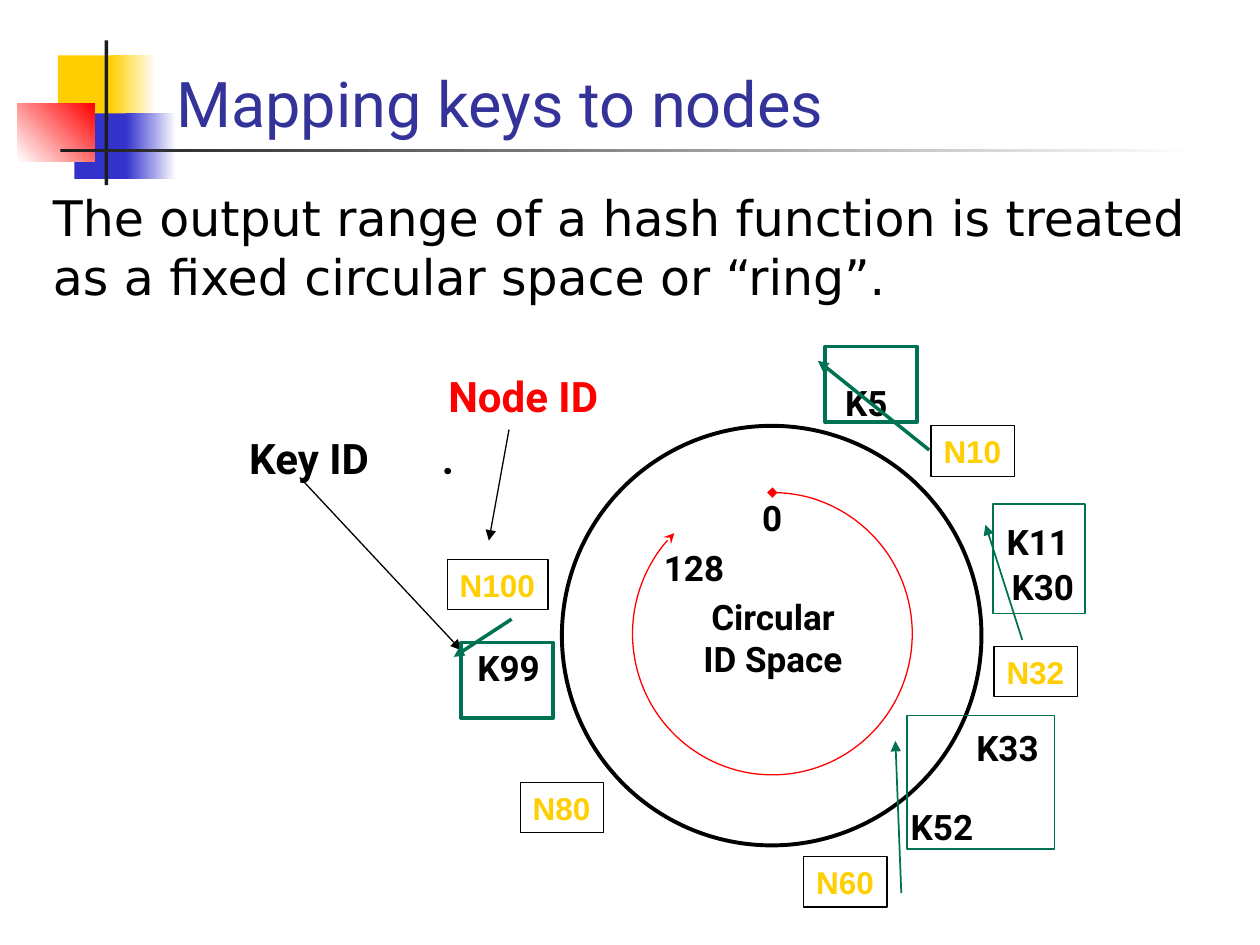
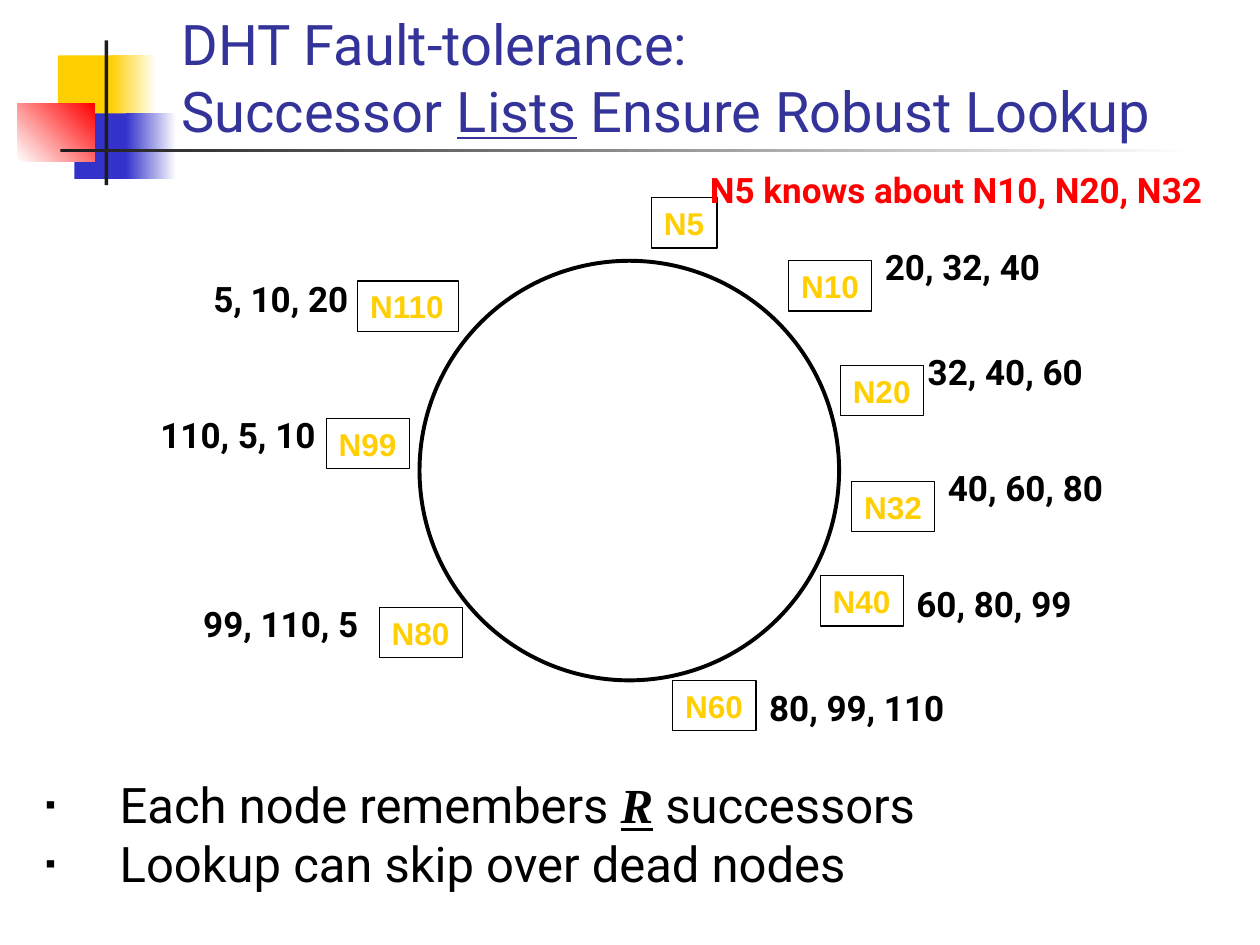
"""Build two slides on mapping keys to nodes in a ring and on successor lists."""
import pptx
import pptx.dml.color
import pptx.enum.shapes
import pptx.enum.text
import pptx.oxml.ns
import pptx.util
from lxml import etree

Inches = pptx.util.Inches
Pt = pptx.util.Pt
Preset = pptx.enum.shapes.MSO_SHAPE
Align = pptx.enum.text.PP_ALIGN
Anchor = pptx.enum.text.MSO_ANCHOR

COLORS = {
    "gold": "FFCF01", "blue": "3333CC", "red": "FF0000", "white": "FFFFFF",
    "charcoal": "1C1C1C", "title": "333399", "black": "000000", "green": "007254",
}


def color(name):
    """Return the named colour."""
    return pptx.dml.color.RGBColor.from_string(COLORS[name])


def add_element(parent, tag, **attributes):
    """Append a drawing element to a parent element."""
    return etree.SubElement(parent, pptx.oxml.ns.qn(tag), attributes)


class Deck:
    """Hold the shared style and the current slide."""

    def __init__(self):
        """Start an empty presentation."""
        self.presentation = pptx.Presentation()
        self.presentation.slide_width = Inches(10)
        self.presentation.slide_height = Inches(7.5)
        self.layout = self.presentation.slide_layouts[1]
        self.slide = None

    def new_slide(self):
        """Add a slide and make it current."""
        self.slide = self.presentation.slides.add_slide(self.layout)

    def format(self, font, size, name="Roboto", fill="black", bold=False):
        """Apply size, typeface, colour and weight to a font."""
        font.size = Pt(size)
        font.name = name
        font.bold = bold
        font.color.rgb = color(fill)

    def shape(self, preset, left, top, width, height, line=None, weight=0.75):
        """Add an unfilled preset shape with an optional outline."""
        shape = self.slide.shapes.add_shape(
            preset, Inches(left), Inches(top), Inches(width), Inches(height))
        shape.shadow.inherit = False
        shape.fill.background()
        if line:
            shape.line.color.rgb = color(line)
            shape.line.width = Pt(weight)
        else:
            shape.line.fill.background()
        return shape

    def arrowheads(self, shape, **ends):
        """Add arrowheads to the start (headEnd) or the end (tailEnd) of a line."""
        for tag in ("headEnd", "tailEnd"):
            if tag in ends:
                add_element(shape.line._get_or_add_ln(), f"a:{tag}", type=ends[tag])

    def band(self, left, top, width, height, start, end=None, angle=0):
        """Add a decoration to the shared layout, plain or shaded."""
        shape = self.shape(Preset.RECTANGLE, left, top, width, height)
        if end:
            shape.fill.gradient()
            shape.fill.gradient_angle = angle
            for stop, name in zip(shape.fill.gradient_stops, (start, end)):
                stop.color.rgb = color(name)
        else:
            shape.fill.solid()
            shape.fill.fore_color.rgb = color(start)
        self.layout.shapes.element.append(shape.element)

    def decorate(self):
        """Draw the squares and rules that every slide shows."""
        self.band(0.46, 0.44, 0.48, 0.52, "gold")
        self.band(0.88, 0.44, 0.36, 0.52, "gold", "white")
        self.band(0.59, 0.9, 0.46, 0.52, "blue")
        self.band(1, 0.9, 0.4, 0.52, "blue", "white")
        self.band(0.14, 0.82, 0.61, 0.46, "white", "red", 45)
        self.band(0.83, 0.32, 0.03, 1.15, "charcoal")
        self.band(0.48, 1.18, 9, 0.03, "charcoal", "white")

    def placeholder(self, index, left, top, width, height, anchor, paragraphs):
        """Place a placeholder and fill it with paragraphs made of run texts."""
        shape = self.slide.placeholders[index]
        shape.left, shape.top = Inches(left), Inches(top)
        shape.width, shape.height = Inches(width), Inches(height)
        frame = shape.text_frame
        frame.word_wrap = True
        frame.auto_size = pptx.enum.text.MSO_AUTO_SIZE.NONE
        frame.vertical_anchor = anchor
        for position, texts in enumerate(paragraphs):
            paragraph = frame.add_paragraph() if position else frame.paragraphs[0]
            paragraph.alignment = Align.LEFT
            paragraph.space_before = Pt(0)
            for text in texts:
                paragraph.add_run().text = text
        return frame

    def title(self, left, top, width, height, size, *paragraphs):
        """Fill the title placeholder."""
        frame = self.placeholder(0, left, top, width, height, Anchor.BOTTOM, paragraphs)
        for paragraph in frame.paragraphs:
            for run in paragraph.runs:
                self.format(run.font, size, fill="title")
        return frame

    def body(self, left, top, width, height, name, bullet, *paragraphs):
        """Fill the body placeholder, with or without square bullets."""
        frame = self.placeholder(1, left, top, width, height, Anchor.TOP, paragraphs)
        for paragraph in frame.paragraphs:
            properties = paragraph._p.get_or_add_pPr()
            indent = Inches(0.59) if bullet else 0
            properties.set("marL", str(indent))
            properties.set("indent", str(-indent))
            if bullet:
                fill = add_element(properties, "a:buClr")
                add_element(fill, "a:srgbClr", val=COLORS["black"])
                add_element(properties, "a:buSzPct", val="60000")
                add_element(properties, "a:buFont", typeface="Arial")
                add_element(properties, "a:buChar", char="▪")
            else:
                add_element(properties, "a:buNone")
            for run in paragraph.runs:
                self.format(run.font, 28, name)
        return frame

    def label(self, text, left, top, width, size=20, fill="black",
              align=Align.LEFT, tab=None):
        """Add a bold label that does not wrap."""
        box = self.slide.shapes.add_textbox(
            Inches(left), Inches(top), Inches(width), Inches(0.1 + size * 0.017))
        frame = box.text_frame
        frame.word_wrap = False
        frame.text = text
        for paragraph in frame.paragraphs:
            paragraph.alignment = align
            if tab:
                tabs = add_element(paragraph._p.get_or_add_pPr(), "a:tabLst")
                add_element(tabs, "a:tab", pos=str(Inches(tab)), algn="l")
            for run in paragraph.runs:
                self.format(run.font, size, fill=fill, bold=True)
        return box

    def node(self, name, left, top):
        """Add a node box as wide as its name needs."""
        width = 0.24 + 0.14 * len(name)
        box = self.shape(Preset.RECTANGLE, left, top, width, 0.4, "black")
        box.text_frame.word_wrap = False
        box.text_frame.text = name
        paragraph = box.text_frame.paragraphs[0]
        paragraph.alignment = Align.LEFT
        self.format(paragraph.runs[0].font, 18, "Arial", "gold", True)

    def ring(self, left, top):
        """Add the circle of the identifier space."""
        self.shape(Preset.OVAL, left, top, 3.33, 3.33, "black", 2.25)

    def arrow(self, start, end):
        """Add a thin black arrow."""
        points = [Inches(value) for value in (*start, *end)]
        line = self.slide.shapes.add_connector(
            pptx.enum.shapes.MSO_CONNECTOR.STRAIGHT, *points)
        line.line.color.rgb = color("black")
        line.line.width = Pt(0.75)
        self.arrowheads(line, tailEnd="triangle")
        add_element(line.element.spPr, "a:effectLst")

    def key_callout(self, left, top, width, height, weight, target):
        """Add a green frame for keys with an arrow from their node."""
        callout = self.shape(Preset.LINE_CALLOUT_1, left, top, width, height,
                             "green", weight)
        for index, value in enumerate((0.19, -0.08, *target)):
            callout.adjustments[index] = value
        self.arrowheads(callout, headEnd="triangle")

    def id_direction(self):
        """Add the red arc that runs clockwise through the identifiers."""
        arc = self.shape(Preset.ARC, 5.02, 3.91, 2.22, 2.24, "red")
        for index, degrees in enumerate((270, 225.7)):
            arc.adjustments[index] = degrees * 0.6
        self.arrowheads(arc, headEnd="diamond", tailEnd="stealth")


def build_mapping(deck):
    """Build the slide that maps keys to nodes."""
    deck.title(1.3, 0.23, 8.52, 0.93, 36, ["Mapping keys to nodes"])
    deck.body(0.32, 1.44, 9.52, 1.17, "DejaVu Sans", False, [
        "The output range of a hash function is treated as a fixed "
        "circular space or “ring”."])
    deck.ring(4.46, 3.38)
    deck.label("Circular\nID Space", 5.44, 4.68, 1.39, align=Align.CENTER)
    deck.arrow((2.38, 3.79), (3.66, 5.16))
    deck.label("Key ID\t.", 1.88, 3.38, 1.9, size=24, tab=1.53)
    keys = [("K52", 7.13, 6.34), ("K30", 7.93, 4.44), ("K5", 6.61, 2.98),
            ("K99", 3.69, 5.08), ("K11", 7.89, 4.08), ("K33", 7.65, 5.72)]
    for name, left, top in keys:
        deck.label(name, left, top, 0.7)
    deck.id_direction()
    deck.label("128", 5.17, 4.29, 0.75)
    deck.label("0", 5.95, 3.89, 0.43)
    deck.key_callout(7.2, 5.68, 1.17, 1.06, 1, (1.33, -0.04))
    deck.key_callout(6.55, 2.75, 0.73, 0.6, 2, (1.37, 1.13))
    deck.key_callout(3.66, 5.1, 0.73, 0.6, 2, (-0.31, 0.55))
    deck.key_callout(7.88, 4, 0.73, 0.87, 1, (1.24, 0.32))
    nodes = [("N32", 7.89, 5.13), ("N10", 7.39, 3.38), ("N100", 3.55, 4.44),
             ("N80", 4.13, 6.21), ("N60", 6.38, 6.8)]
    for name, left, top in nodes:
        deck.node(name, left, top)
    deck.arrow((4.04, 3.41), (3.88, 4.29))
    deck.label("Node ID", 3.46, 2.89, 1.86, size=24, fill="red")


def build_successors(deck):
    """Build the slide on successor lists."""
    title = deck.title(1.34, 0.4, 8.27, 0.79, 32, ["DHT Fault-tolerance:"],
                       ["Successor ", "Lists", " Ensure Robust Lookup"])
    title.paragraphs[1].runs[1].font.underline = True
    deck.ring(3.33, 2.07)
    ring_nodes = [
        (5, (5.17, 1.57), (5.36, 1.29)), (10, (6.26, 2.07), (6.91, 1.9)),
        (20, (6.67, 2.9), (7.25, 2.73)), (32, (6.76, 3.82), (7.41, 3.65)),
        (40, (6.51, 4.57), (7.16, 4.57)), (60, (5.34, 5.4), (5.99, 5.4)),
        (80, (3.01, 4.82), (1.5, 4.73)), (99, (2.59, 3.32), (1.16, 3.23)),
        (110, (2.84, 2.23), (1.58, 2.15)),
    ]
    count = len(ring_nodes)
    for index, (number, node_place, list_place) in enumerate(ring_nodes):
        deck.node(f"N{number}", *node_place)
        successors = [ring_nodes[(index + step) % count][0] for step in (1, 2, 3)]
        if index == 0:
            names = ", ".join(f"N{successor}" for successor in successors)
            deck.label(f"N{number} knows about {names}", *list_place, 4.46,
                       fill="red", align=Align.CENTER)
        else:
            text = ", ".join(map(str, successors))
            deck.label(text, *list_place, 0.16 * len(text) - 0.14, align=Align.CENTER)
    body = deck.body(0.26, 6.1, 7.35, 1.04, "Roboto", True,
                     ["Each node remembers ", "R", " successors"],
                     ["Lookup can skip over dead nodes"])
    symbol = body.paragraphs[0].runs[1].font
    deck.format(symbol, 28, "Times New Roman", bold=True)
    symbol.italic = True
    symbol.underline = True


def main():
    """Build and save the presentation."""
    deck = Deck()
    deck.new_slide()
    deck.decorate()
    build_mapping(deck)
    deck.new_slide()
    build_successors(deck)
    deck.presentation.save("out.pptx")


if __name__ == "__main__":
    main()
